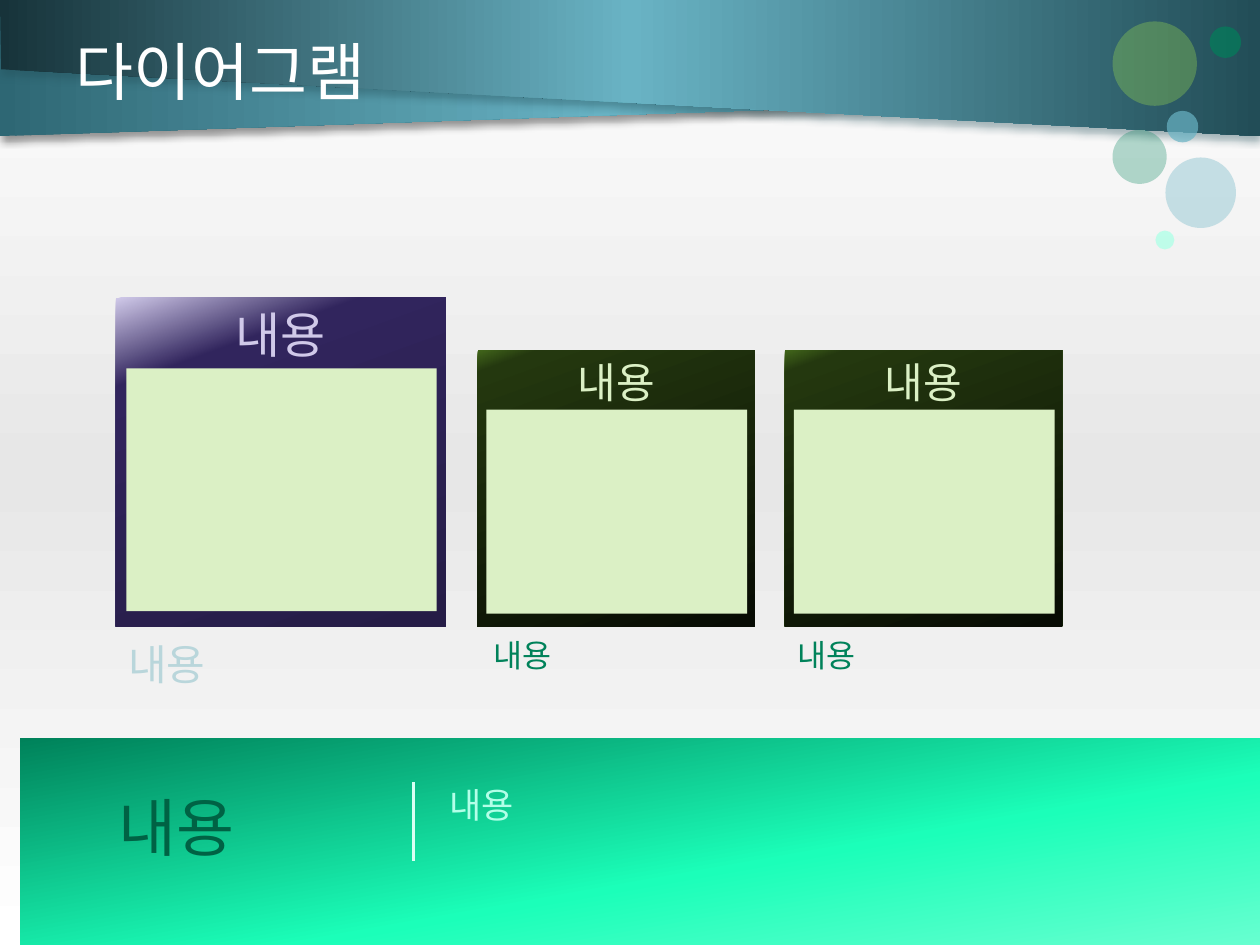
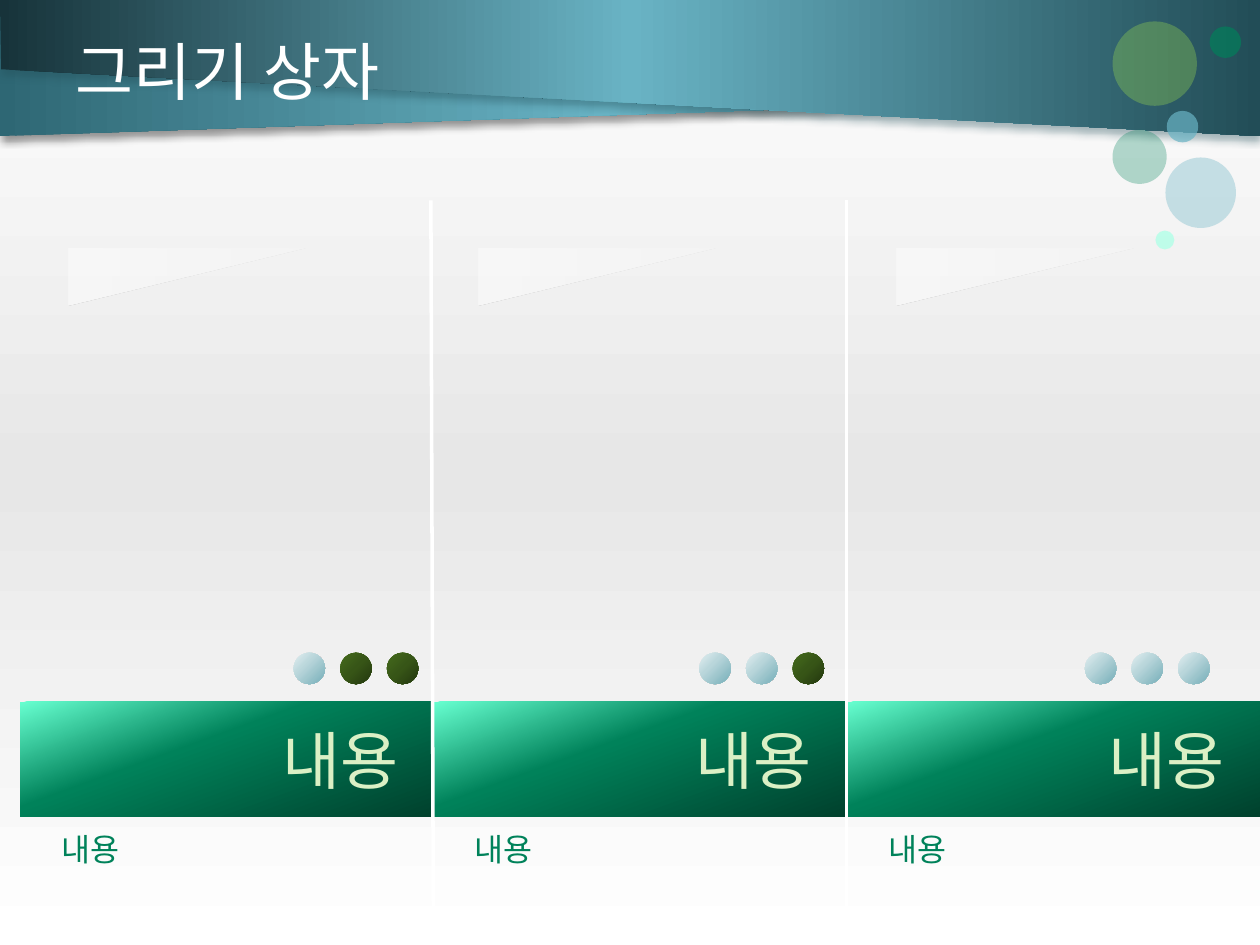
from dataclasses import dataclass

from lxml import etree
from pptx import Presentation
from pptx import util as u
from pptx.dml.color import RGBColor
from pptx.enum import shapes, text
from pptx.oxml.ns import nsdecls, qn
from pptx.oxml import parse_xml


@dataclass(frozen=True)
class Theme:
    title_font: str = "Roboto"
    body_font: str = "Arial"
    headline: int = 36
    large: int = 28
    medium: int = 24
    lead: int = 20
    caption: int = 18
    rule: int = 2
    white: str = "FFFFFF"
    green: str = "00825A"
    deep_green: str = "006244"
    mint: str = "B3FFE8"
    pale_mint: str = "D9FFF3"
    lime: str = "93D151"
    pale_lime: str = "DBF0C5"
    teal: str = "69B3C4"
    dark_teal: str = "224D57"
    mist: str = "B9D6DB"
    lilac: str = "D0C9E9"
    # Gradients: angle, then (position, colour[, opacity]) stops
    backdrop: tuple = (90, (0, "FFFFFF"), (50, "E7E7E7"), (100, "FFFFFF"))
    back_band: tuple = (0, (0, "2E6774"), (50, "69B3C4"), (100, "224D57"))
    front_band: tuple = (0, (0, "17333A"), (50, "69B3C4"), (100, "224D57"))
    olive_card: tuple = (70, (0, "42661B"), (6, "24380F"), (100, "070B03"))
    violet_card: tuple = (70, (0, "D0C9E9"), (20, "31255D"), (100, "251C46"))
    summary: tuple = (260, (0, "67FFD0"), (40, "1BFFB9"), (100, "00825A"))
    banner: tuple = (70, (0, "67FFD0"), (40, "00825A"), (100, "00412D"))
    dot_light: tuple = (45, (0, "E3EFF1"), (40, "B9D6DB"), (100, "76AFB9"))
    dot_dark: tuple = (45, (0, "456B1C"), (50, "375517"), (100, "24380F"))
    gleam: tuple = (90, (0, "FFFFFF", 15), (50, "FFFFFF", 30),
                    (100, "FFFFFF", 50))


T = Theme()
COLUMNS, ROWS = 10, 7.5
LABEL = "내용"


class Deck:
    """Holds the presentation and the slide being drawn; lengths are grid cells."""

    def __init__(self):
        self.show = Presentation()
        self.show.slide_width, self.show.slide_height = u.Inches(10), u.Inches(7.5)
        self.slide = None

    def x(self, columns):
        return round(self.show.slide_width * columns / COLUMNS)

    def y(self, rows):
        return round(self.show.slide_height * rows / ROWS)

    def box(self, left, top, width, height):
        return self.x(left), self.y(top), self.x(width), self.y(height)

    def new_slide(self, title):
        layout = self.show.slide_layouts.get_by_name("Title Only")
        self.slide = self.show.slides.add_slide(layout)
        backdrop = self.slide.background.fill
        self.gradient(backdrop, self.slide.element, T.backdrop)
        self.band([(0, 0), (9.67, 0.75), (0, 1.08)], T.back_band, "000000")
        self.band([(10, 0), (0, 0), (0.01, 0.55), (10, 1.08)],
                  T.front_band, T.dark_teal)
        for left, top, size, colour, opacity in (
                (9.17, 1.83, 0.15, T.mint, 82), (8.83, 1.03, 0.43, T.green, 29),
                (9.25, 1.25, 0.56, T.teal, 35), (9.26, 0.88, 0.25, T.teal, 70),
                (8.83, 0.17, 0.67, T.lime, 36), (9.6, 0.21, 0.25, T.green, 65)):
            self.shape("OVAL", (left, top, size, size), colour, opacity)
        heading = self.slide.shapes.title
        heading.left, heading.top, heading.width, heading.height = self.box(
            0.5, 0.08, 9, 0.95)
        self.put_text(heading, title, T.headline, T.white, anchor="MIDDLE",
                      font=T.title_font)
        heading.element.getparent().append(heading.element)  # above the bands

    def gradient(self, fill, owner, style):
        angle, *stops = style
        fill.gradient()
        marks = "".join(
            f'<a:gs pos="{position * 1000}"><a:srgbClr val="{colour}">'
            + "".join(f'<a:alpha val="{a * 1000}"/>' for a in opacity)
            + "</a:srgbClr></a:gs>" for position, colour, *opacity in stops)
        old = owner.find(".//" + qn("a:gradFill"))
        old.getparent().replace(old, parse_xml(
            f'<a:gradFill {nsdecls("a")} rotWithShape="1"><a:gsLst>{marks}</a:gsLst>'
            f'<a:lin ang="{angle * 60000}" scaled="0"/></a:gradFill>'))

    def paint(self, shape, style, opacity=None):
        """Fill with a gradient tuple or a colour; drop outline and shadow."""
        if isinstance(style, tuple):
            self.gradient(shape.fill, shape.element, style)
        else:
            shape.fill.solid()
            shape.fill.fore_color.rgb = RGBColor.from_string(style)
            if opacity is not None:
                colour = shape.element.spPr.find(".//" + qn("a:srgbClr"))
                etree.SubElement(colour, qn("a:alpha"), val=str(opacity * 1000))
        shape.line.fill.background()
        shape.shadow.inherit = False

    def band(self, corners, style, shadow):
        points = [(self.x(column), self.y(row)) for column, row in corners]
        builder = self.slide.shapes.build_freeform(*points[0])
        builder.add_line_segments(points[1:], close=True)
        band = builder.convert_to_shape()
        self.paint(band, style)
        band.element.spPr.find(qn("a:effectLst")).append(parse_xml(
            f'<a:outerShdw {nsdecls("a")} blurRad="{u.Pt(4)}" dist="{u.Pt(3)}" '
            f'dir="5400000" rotWithShape="0"><a:srgbClr val="{shadow}">'
            '<a:alpha val="40000"/></a:srgbClr></a:outerShdw>'))

    def shape(self, kind, place, style, opacity=None):
        shape = self.slide.shapes.add_shape(
            getattr(shapes.MSO_SHAPE, kind), *self.box(*place))
        self.paint(shape, style, opacity)
        return shape

    def put_text(self, shape, words, size, colour, align="LEFT", anchor="TOP",
                 font=T.body_font):
        frame = shape.text_frame
        frame.text = words
        frame.word_wrap = True
        frame.vertical_anchor = getattr(text.MSO_ANCHOR, anchor)
        line = frame.paragraphs[0]
        line.alignment = getattr(text.PP_ALIGN, align)
        style = line.runs[0].font
        style.name, style.size = font, u.Pt(size)
        style.color.rgb = RGBColor.from_string(colour)
        return frame

    def label(self, place, size, colour, anchor="TOP"):
        holder = self.slide.shapes.add_textbox(*self.box(*place))
        frame = self.put_text(holder, LABEL, size, colour, anchor=anchor)
        frame.auto_size = text.MSO_AUTO_SIZE.SHAPE_TO_FIT_TEXT
        return frame

    def rule(self, start, end, colour):
        rule = self.slide.shapes.add_connector(
            shapes.MSO_CONNECTOR.STRAIGHT, self.x(start[0]), self.y(start[1]),
            self.x(end[0]), self.y(end[1]))
        rule.line.color.rgb = RGBColor.from_string(colour)
        rule.line.width = u.Pt(T.rule)
        etree.SubElement(rule.element.spPr, qn("a:effectLst"))

    def card(self, left, scale, style, size, colour):
        """A headed frame with a pale panel, standing on a common base line."""
        width, height = 2.2 * scale, 2.19 * scale
        top = 4.97 - height
        frame = self.shape("RECTANGLE", (left, top, width, height), style)
        self.put_text(frame, LABEL, size, colour, align="CENTER")
        self.shape("RECTANGLE", (left + 0.07 * scale, top + 0.47 * scale,
                                 2.07 * scale, 1.62 * scale), T.pale_lime)


def diagram_slide(deck):
    deck.new_slide("다이어그램")
    for card_left, caption_left in ((3.79, 3.82), (6.23, 6.23)):
        deck.card(card_left, 1, T.olive_card, T.medium, T.pale_lime)
        deck.label((caption_left, 5, 2.18, 0.4), T.caption, T.green)
    deck.card(0.92, 1.19, T.violet_card, T.large, T.lilac)
    deck.label((0.92, 5.02, 2.6, 0.5), T.medium, T.mist)

    deck.shape("RECTANGLE", (0.16, 5.86, 9.84, 1.64), T.summary)
    summary = deck.label((0.94, 6.26, 2.16, 0.6), T.headline, T.deep_green, "MIDDLE")
    summary.margin_left = summary.margin_right = 0
    summary.margin_top = summary.margin_bottom = 0
    deck.label((3.47, 6.17, 5.83, 0.77), T.lead, T.mint)
    deck.rule((3.28, 6.21), (3.28, 6.83), T.pale_mint)


def boxes_slide(deck):
    deck.new_slide("그리기 상자")
    step = 3.28
    lefts = [0.16 + step * column for column in range(3)]
    for left in lefts:
        banner = deck.shape("RECTANGLE", (left, 5.57, step, 0.91), T.banner)
        frame = deck.put_text(banner, LABEL, T.headline, T.pale_lime,
                              "RIGHT", "MIDDLE")
        frame.margin_right = deck.x(0.28)
        deck.label((left + 0.23, 6.54, 2.81, 0.71), T.caption, T.green)
    for left, top_end in zip(lefts[1:], (3.42, 6.72)):
        deck.rule((left, ROWS), (top_end, 1.59), T.white)

    for dots_left, light_dots in ((2.33, 1), (5.55, 2), (8.61, 3)):
        for dot in range(3):
            deck.shape("OVAL", (dots_left + 0.37 * dot, 5.18, 0.25, 0.25),
                       T.dot_light if dot < light_dots else T.dot_dark)
    for gleam_left in (1.26, 4.51, 7.83):
        gleam = deck.shape("RIGHT_TRIANGLE", (gleam_left, 1.26, 0.45, 1.88), T.gleam)
        gleam.rotation = 90


def main():
    deck = Deck()
    diagram_slide(deck)
    boxes_slide(deck)
    deck.show.save("out.pptx")


if __name__ == "__main__":
    main()
